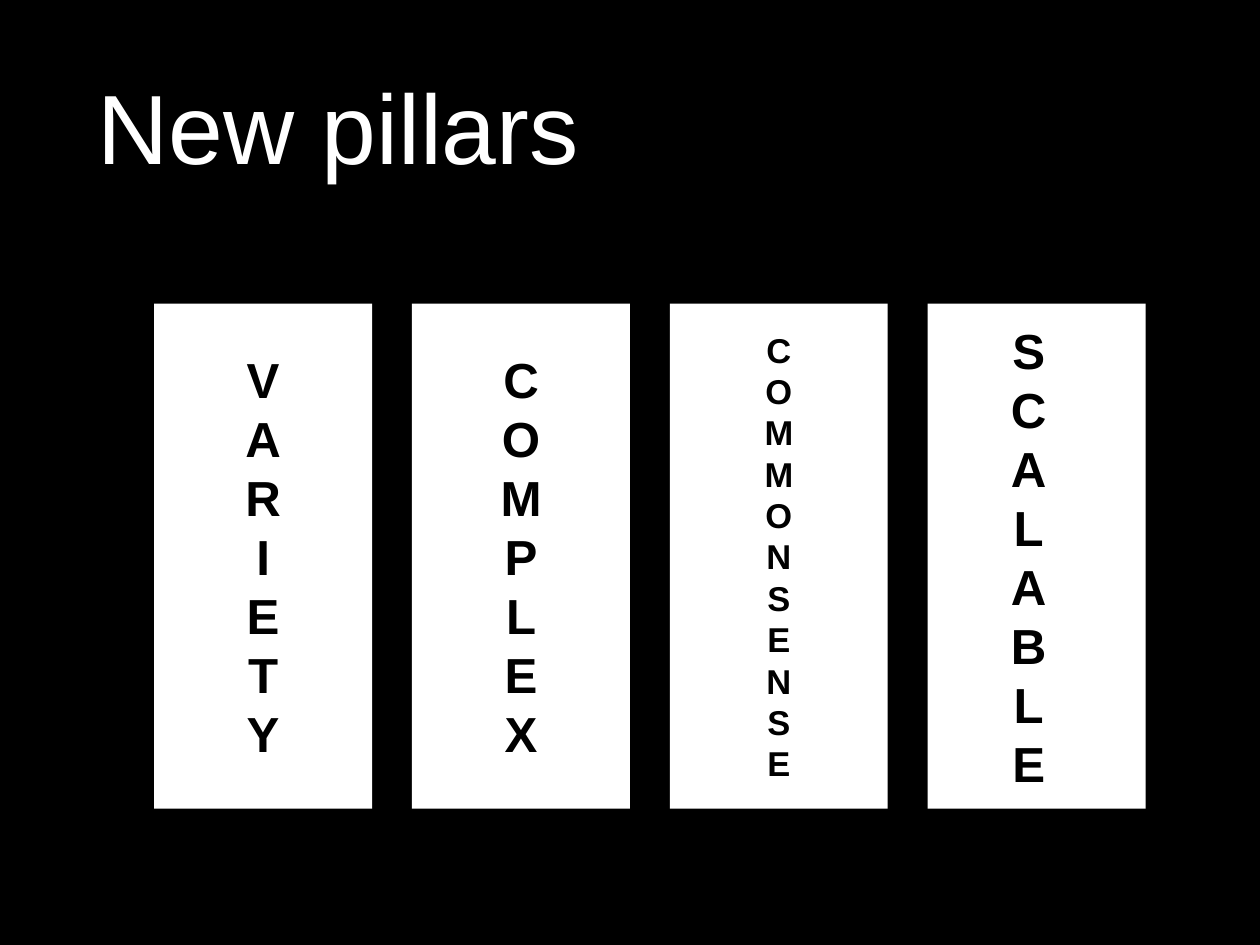
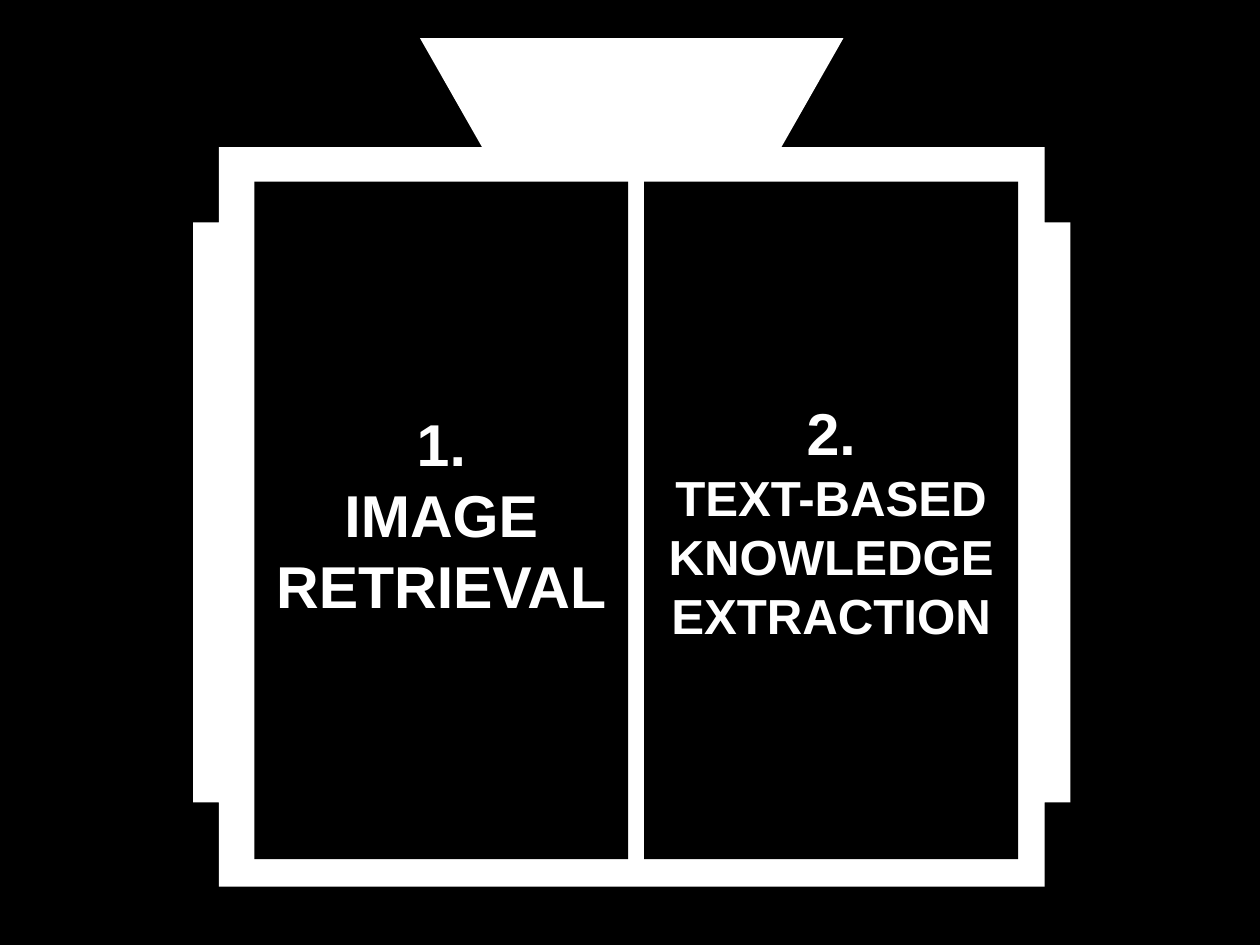
from pptx import Presentation
from pptx.dml.color import RGBColor
from pptx.enum.shapes import MSO_SHAPE as Preset
from pptx.enum.text import MSO_ANCHOR as Anchor, MSO_AUTO_SIZE as AutoSize, PP_ALIGN as Align
from pptx.util import Inches, Pt

BLACK = RGBColor(0, 0, 0)
WHITE = RGBColor(255, 255, 255)
FONT = "Arial"
INSET = Inches(0.06)
TITLE_ONLY, BLANK = 5, 6

presentation = Presentation()
presentation.slide_width = Inches(14.22)
presentation.slide_height = Inches(10.67)

# Shared black background
background = presentation.slide_master.background.fill
background.solid()
background.fore_color.rgb = BLACK


def paint(shape, colour):
    shape.shadow.inherit = False
    shape.fill.solid()
    shape.fill.fore_color.rgb = colour
    shape.line.fill.background()


def add_label(slide, centre, size, paragraphs, colour):
    """Centred bold text; each paragraph is a list of (line, point size)."""
    left, top = (middle - length / 2 for middle, length in zip(centre, size))
    box = slide.shapes.add_textbox(Inches(left), Inches(top), *map(Inches, size))
    frame = box.text_frame
    frame.margin_left = frame.margin_right = frame.margin_top = frame.margin_bottom = INSET
    frame.vertical_anchor = Anchor.MIDDLE
    frame.word_wrap = False
    frame.auto_size = AutoSize.SHAPE_TO_FIT_TEXT
    for number, lines in enumerate(paragraphs):
        paragraph = frame.add_paragraph() if number else frame.paragraphs[0]
        paragraph.alignment = Align.CENTER
        for position, (line, points) in enumerate(lines):
            if position:
                paragraph.add_line_break()
            run = paragraph.add_run()
            run.text = line
            run.font.name, run.font.size, run.font.bold = FONT, Pt(points), True
            run.font.color.rgb = colour


# Slide 1: title
slide = presentation.slides.add_slide(presentation.slide_layouts[TITLE_ONLY])
title = slide.shapes.title
title.left, title.top, title.width, title.height = map(Inches, (1.04, 0.47, 12.14, 1.67))
frame = title.text_frame
frame.margin_left = frame.margin_right = frame.margin_top = frame.margin_bottom = INSET
frame.vertical_anchor = Anchor.BOTTOM
frame.paragraphs[0].alignment = Align.LEFT
run = frame.paragraphs[0].add_run()
run.text = "New pillars"
run.font.name, run.font.size = FONT, Pt(80)
run.font.color.rgb = WHITE

# Slide 1: four pillars, (word, point size, text width, text height, text shift)
PILLAR_LEFT, PILLAR_TOP, PILLAR_WIDTH, PILLAR_HEIGHT = 1.74, 3.43, 2.46, 5.7
PILLAR_GAP = 0.45
pillars = [
    ("VARIETY", 40, 0.53, 4.78, 0),
    ("COMPLEX", 40, 0.59, 4.78, 0),
    ("COMMONSENSE", 28, 0.45, 5.31, 0),
    ("SCALABLE", 40, 0.68, 5.44, -0.09),
]
for column, (word, points, width, height, shift) in enumerate(pillars):
    left = PILLAR_LEFT + column * (PILLAR_WIDTH + PILLAR_GAP)
    pillar = slide.shapes.add_shape(
        Preset.RECTANGLE, *map(Inches, (left, PILLAR_TOP, PILLAR_WIDTH, PILLAR_HEIGHT)))
    paint(pillar, WHITE)
    centre = (left + PILLAR_WIDTH / 2 + shift, PILLAR_TOP + PILLAR_HEIGHT / 2)
    add_label(slide, centre, (width, height), [[(letter, points) for letter in word]], BLACK)

# Slide 2: housing, its left half mirrored about the axis
slide = presentation.slides.add_slide(presentation.slide_layouts[BLANK])
AXIS = 7.13
left_half = [(4.74, 0.43), (5.44, 1.66), (2.47, 1.66), (2.47, 2.51),
             (2.18, 2.51), (2.18, 9.06), (2.47, 9.06), (2.47, 10.01)]
right_half = [(2 * AXIS - x, y) for x, y in reversed(left_half)]
outline = [(Inches(x), Inches(y)) for x, y in left_half + right_half]
builder = slide.shapes.build_freeform(*outline[0])
builder.add_line_segments(outline[1:], close=True)
paint(builder.convert_to_shape(), WHITE)

# Slide 2: two panels, (paragraphs, text size, text middle)
PANEL_LEFT, PANEL_TOP, PANEL_WIDTH, PANEL_HEIGHT = 2.87, 2.05, 4.22, 7.65
PANEL_GAP = 0.18
panels = [
    ([[("1.", 48), ("IMAGE", 48), ("RETRIEVAL", 48)]], (3.85, 2.53), 5.8),
    ([[("2.", 48), ("TEXT-BASED", 40)], [("KNOWLEDGE", 40)], [("EXTRACTION", 40)]],
     (3.82, 2.94), 5.88),
]
for column, (paragraphs, size, middle) in enumerate(panels):
    left = PANEL_LEFT + column * (PANEL_WIDTH + PANEL_GAP)
    panel = slide.shapes.add_shape(
        Preset.RECTANGLE, *map(Inches, (left, PANEL_TOP, PANEL_WIDTH, PANEL_HEIGHT)))
    paint(panel, BLACK)
    add_label(slide, (left + PANEL_WIDTH / 2, middle), size, paragraphs, WHITE)

presentation.save("out.pptx")
